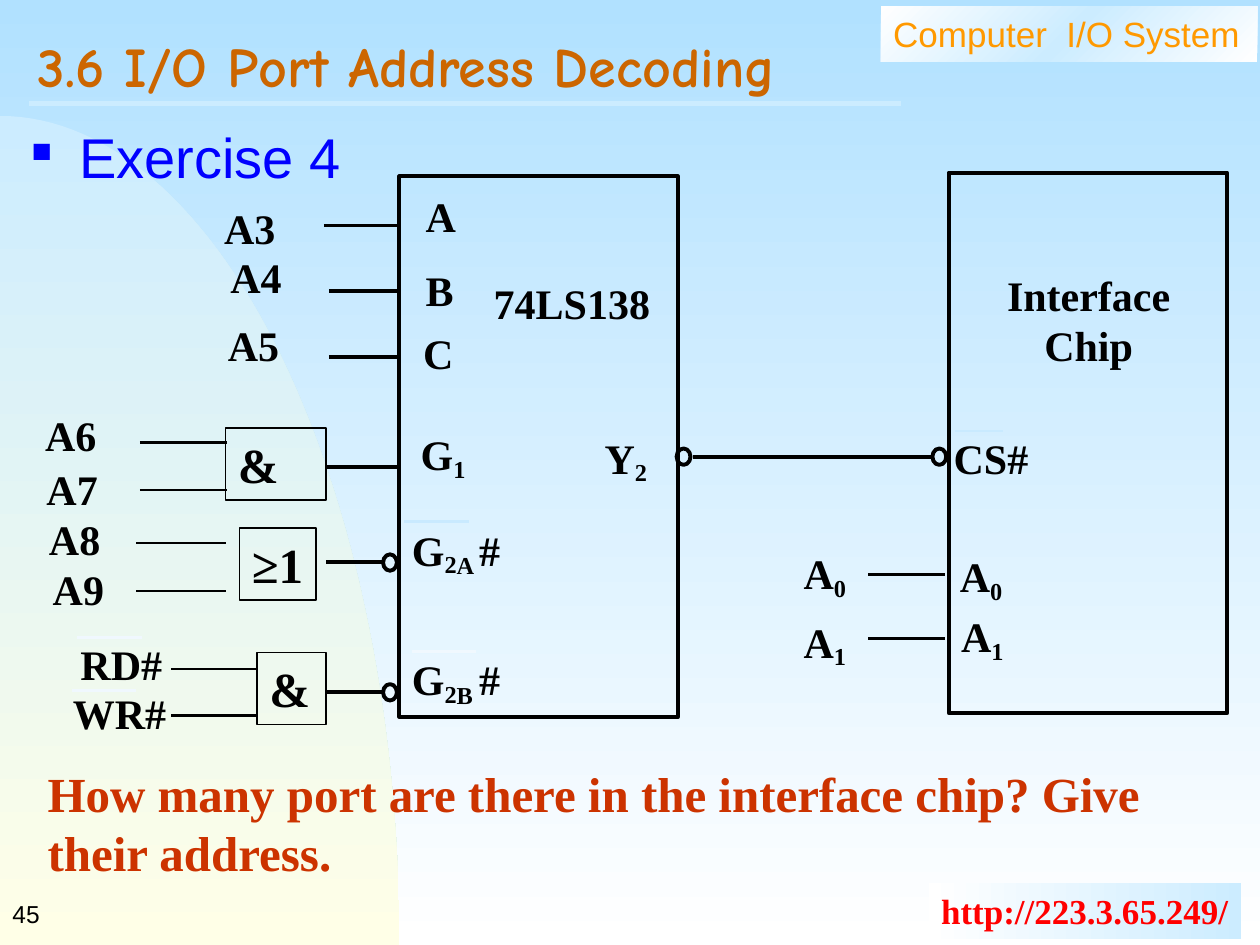
import copy
import math

import pptx
import pptx.util
import pptx.dml.color
import pptx.enum.shapes
import pptx.enum.text
import pptx.oxml.ns
from lxml import etree

Inches, Pt = pptx.util.Inches, pptx.util.Pt
SHAPE = pptx.enum.shapes.MSO_SHAPE
ANCHOR = pptx.enum.text.MSO_ANCHOR
ALIGN = pptx.enum.text.PP_ALIGN
FIT = pptx.enum.text.MSO_AUTO_SIZE
qn = pptx.oxml.ns.qn

COLORS = {
    "ink": "000000", "sky": "B1E1FF", "white": "FFFFFF", "ice": "CCECFF",
    "cream": "FFFFE7", "orange": "FF9900", "red": "FF0000", "brown": "CC6600",
    "blue": "0000FF", "rust": "CC3300", "pale": "F0F8FE", "haze": "C9EAFF",
}
SERIF = {"name": "Times New Roman", "size": Pt(24), "bold": True}
GATE = {**SERIF, "size": Pt(28)}
SANS = {"name": "Arial", "size": Pt(20), "bold": False}
HEADING = {"name": "Comic Neue", "size": Pt(32), "bold": True}
GROW = {"word_wrap": False, "auto_size": FIT.SHAPE_TO_FIT_TEXT}
WRAP = {"word_wrap": True, "auto_size": FIT.NONE}


def rgb(color):
    """Return the named colour."""
    return pptx.dml.color.RGBColor.from_string(COLORS[color])


def apply(target, values):
    """Set each attribute in values on target."""
    for name, value in values.items():
        setattr(target, name, value)


def gradient(fill, element, colors, angle):
    """Fill with evenly spaced colours, the angle running clockwise."""
    fill.gradient()
    stops = element.find(".//" + qn("a:gsLst"))
    for _ in colors[2:]:
        stops.insert(1, copy.deepcopy(stops[0]))
    for i, (stop, color) in enumerate(zip(fill.gradient_stops, colors)):
        stop.color.rgb = rgb(color)
        stop.position = i / (len(colors) - 1)
    fill.gradient_angle = (360 - angle) % 360


def write(sp, lines, font=SERIF, color="ink", frame=GROW, align=ALIGN.LEFT):
    """Write lines, each a string or a list of (text, baseline) runs."""
    tf = sp.text_frame
    apply(tf, {"vertical_anchor": ANCHOR.TOP, **frame})
    for i, line in enumerate(lines):
        p = tf.add_paragraph() if i else tf.paragraphs[0]
        p.alignment = align
        for text, base in [(line, 0)] if isinstance(line, str) else line:
            r = p.add_run()
            r.text = text
            apply(r.font, font)
            r.font.color.rgb = rgb(color)
            if base:
                r.font._element.set("baseline", str(base * 1000))
    return sp


def label(s, x, y, w, h, *lines, **look):
    """Add a text box."""
    sp = s.shapes.add_textbox(Inches(x), Inches(y), Inches(w), Inches(h))
    return write(sp, lines, **look)


def box(s, x, y, w, h, weight=None, kind=SHAPE.RECTANGLE):
    """Add an unfilled shape, outlined when a weight is given."""
    sp = s.shapes.add_shape(kind, Inches(x), Inches(y), Inches(w), Inches(h))
    sp.shadow.inherit = False
    sp.fill.background()
    if weight:
        sp.line.color.rgb = rgb("ink")
        sp.line.width = Pt(weight)
    else:
        sp.line.fill.background()
    return sp


def wire(s, x1, x2, y, weight=1.5, color="ink"):
    """Add a horizontal line."""
    c = s.shapes.add_connector(pptx.enum.shapes.MSO_CONNECTOR.STRAIGHT,
                               Inches(x1), Inches(y), Inches(x2), Inches(y))
    c.line.color.rgb = rgb(color)
    c.line.width = Pt(weight)
    etree.SubElement(c._element.spPr, qn("a:effectLst"))


def backdrop(s):
    """Draw the background, the curved panel and the fixed texts."""
    gradient(s.background.fill, s._element, ["sky", "white"], 90)
    turns = [math.pi / 2 * i / 60 for i in range(61)]
    arc = [(Inches(3.17 * math.sin(t)), Inches(7.5 - 6.58 * math.cos(t))) for t in turns]
    fb = s.shapes.build_freeform(*arc[0])
    fb.add_line_segments(arc[1:] + [(0, Inches(7.5))], close=True)
    panel = fb.convert_to_shape()
    panel.shadow.inherit = False
    panel.line.fill.background()
    gradient(panel.fill, panel._element, ["ice", "cream"], 90)

    banner = box(s, 6.99, 0.05, 2.99, 0.44)
    gradient(banner.fill, banner._element, ["white", "ice", "white"], 45)
    write(banner, ["Computer  I/O System"], SANS, "orange", {**GROW, "word_wrap": True})
    address = box(s, 7.37, 7.01, 2.48, 0.44)
    gradient(address.fill, address._element, ["white", "ice"], 0)
    write(address, ["http://223.3.65.249/"], {**SERIF, "size": Pt(20)}, "red")
    wire(s, 0.23, 7.15, 0.82, 3, "ice")
    label(s, 0, 7, 2.08, 0.5, "45", font={**SANS, "size": Pt(14)},
          frame={**WRAP, "vertical_anchor": ANCHOR.MIDDLE})


def headings(s):
    """Fill the title, the bulleted heading and the question."""
    t = s.shapes.title
    apply(t, {"left": Inches(0.2), "top": Inches(0.2),
              "width": Inches(9.55), "height": Inches(0.77)})
    write(t, ["3.6 I/O Port Address Decoding"], HEADING, "brown",
          {**WRAP, "vertical_anchor": ANCHOR.MIDDLE})
    t.text_frame.paragraphs[0].line_spacing = 0.7

    body = label(s, 0.15, 0.92, 9.6, 6, "Exercise 4",
                 font={**SANS, "size": Pt(32)}, color="blue", frame=WRAP)
    p = body.text_frame.paragraphs[0]
    p.space_before = Pt(8)
    pPr = p._p.get_or_add_pPr()
    pPr.set("marL", str(Inches(0.38)))
    pPr.set("indent", str(-Inches(0.38)))
    color = etree.SubElement(pPr, qn("a:buClr"))
    etree.SubElement(color, qn("a:srgbClr"), val=COLORS["blue"])
    etree.SubElement(pPr, qn("a:buSzPct"), val="50000")
    etree.SubElement(pPr, qn("a:buChar"), char="■")

    label(s, 0.28, 6.01, 9.46, 1.04,
          "How many port are there in the interface chip? Give their address.",
          font=GATE, color="rust", frame={**GROW, "word_wrap": True})


def circuit(s):
    """Draw the decoder, the gates, the interface chip and their wires."""
    for x, y in [(3.17, 1.4), (7.53, 1.37)]:
        box(s, x, y, 2.21, 4.29, 2.25)
    for x, y in [(5.37, 3.56), (7.4, 3.56), (3.04, 4.4), (3.04, 5.43)]:
        box(s, x, y, 0.11, 0.13, 2.25, SHAPE.OVAL)
    for x, y, w, text, wrap in [(1.79, 3.4, 0.8, "&", True), (1.9, 4.19, 0.61, "≥1", False),
                                (2.04, 5.18, 0.55, "&", True)]:
        write(box(s, x, y, w, 0.57, 1), [text], GATE, frame={**GROW, "word_wrap": wrap})

    for x1, x2, y in [(2.57, 3.17, 1.79), (2.61, 3.17, 2.31), (2.61, 3.17, 2.83),
                      (2.59, 3.15, 3.71), (2.59, 3.04, 4.46), (2.59, 3.04, 5.49),
                      (5.5, 7.41, 3.63)]:
        wire(s, x1, x2, y, 2.25)
    for x, w, ys, weight in [(1.11, 0.69, (3.51, 3.89), 1.5), (1.08, 0.71, (4.31, 4.69), 1),
                             (1.36, 0.69, (5.31, 5.68), 1.5), (6.89, 0.61, (4.56, 5.07), 1.5)]:
        for y in ys:
            wire(s, x, x + w, y, weight)
    for x, w, y, color in [(3.27, 0.51, 5.17, "pale"), (0.61, 0.52, 5.06, "pale"),
                           (0.57, 0.51, 5.48, "pale"), (7.58, 0.38, 3.42, "haze"),
                           (3.21, 0.51, 4.14, "haze")]:
        wire(s, x, x + w, y, color=color)


def pins(s):
    """Label the chips, their pins and the signals."""
    signals = [(1.68, 1.56), (1.73, 1.95), (1.71, 2.49), (0.26, 3.2),
               (0.27, 3.63), (0.29, 4.03), (0.32, 4.42)]
    for n, (x, y) in enumerate(signals, 3):
        label(s, x, y, 0.61, 0.5, f"A{n}")
    for x, y, w, text in [(3.28, 1.46, 0.44, "A"), (3.28, 2.05, 0.42, "B"),
                          (3.26, 2.55, 0.44, "C"), (3.82, 2.15, 1.44, "74LS138"),
                          (0.54, 5.02, 0.85, "RD#"), (0.48, 5.41, 0.94, "WR#"),
                          (7.47, 3.38, 0.79, "CS#")]:
        label(s, x, y, w, 0.5, text)
    for x, y, name, index, base in [(4.7, 3.38, "Y", "2", -18), (3.24, 3.35, "G", "1", -20),
                                    (7.52, 4.32, "A", "0", -18), (7.53, 4.8, "A", "1", -18),
                                    (6.28, 4.3, "A", "0", -18), (6.28, 4.84, "A", "1", -18)]:
        label(s, x, y, 0.58, 0.53, [(name, 0), (index, base)])
    for y, letter in [(4.11, "A "), (5.14, "B ")]:
        label(s, 3.17, y, 0.92, 0.54, [("G", 0), ("2", -18), (letter, -20), ("#", 0)])
    label(s, 7.84, 2.09, 1.6, 0.9, "Interface", "Chip", align=ALIGN.CENTER)


def main():
    """Build and save the slide."""
    prs = pptx.Presentation()
    prs.slide_width, prs.slide_height = Inches(10), Inches(7.5)
    s = prs.slides.add_slide(prs.slide_layouts[5])
    backdrop(s)
    headings(s)
    circuit(s)
    pins(s)
    prs.save("out.pptx")


if __name__ == "__main__":
    main()
